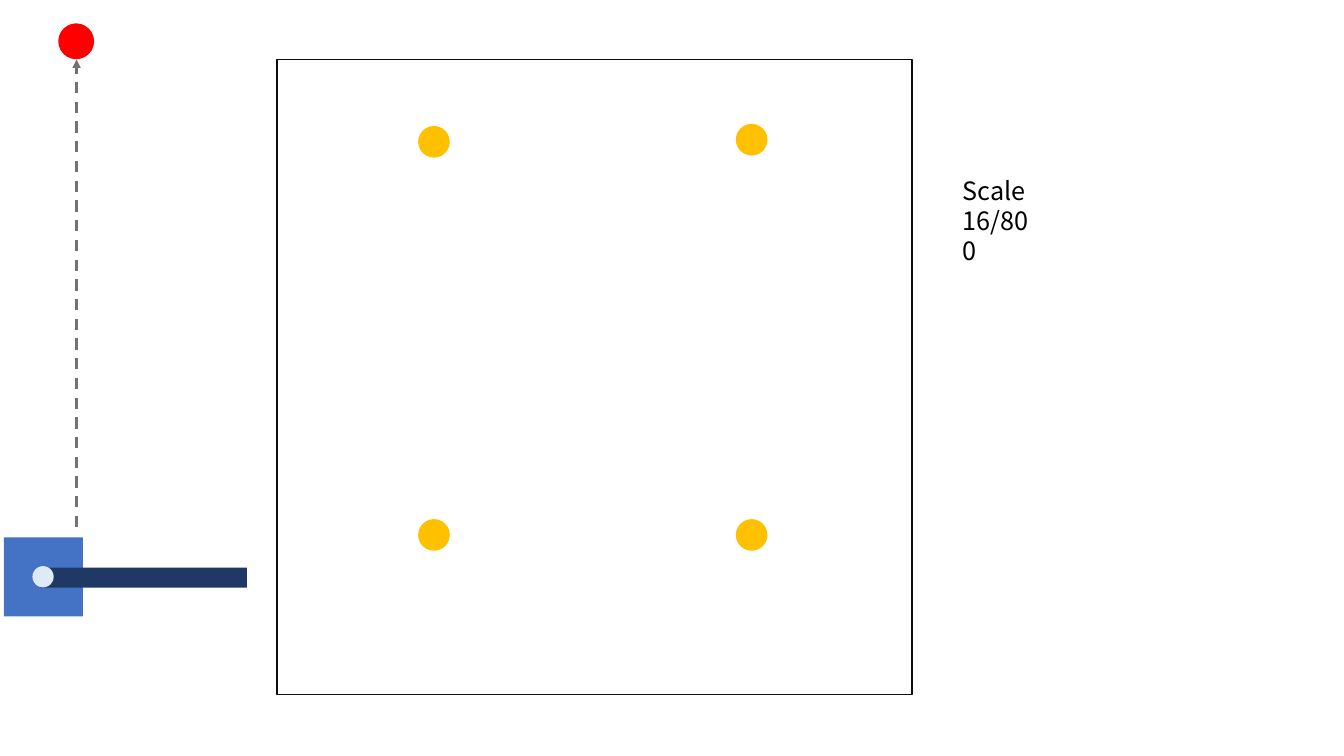
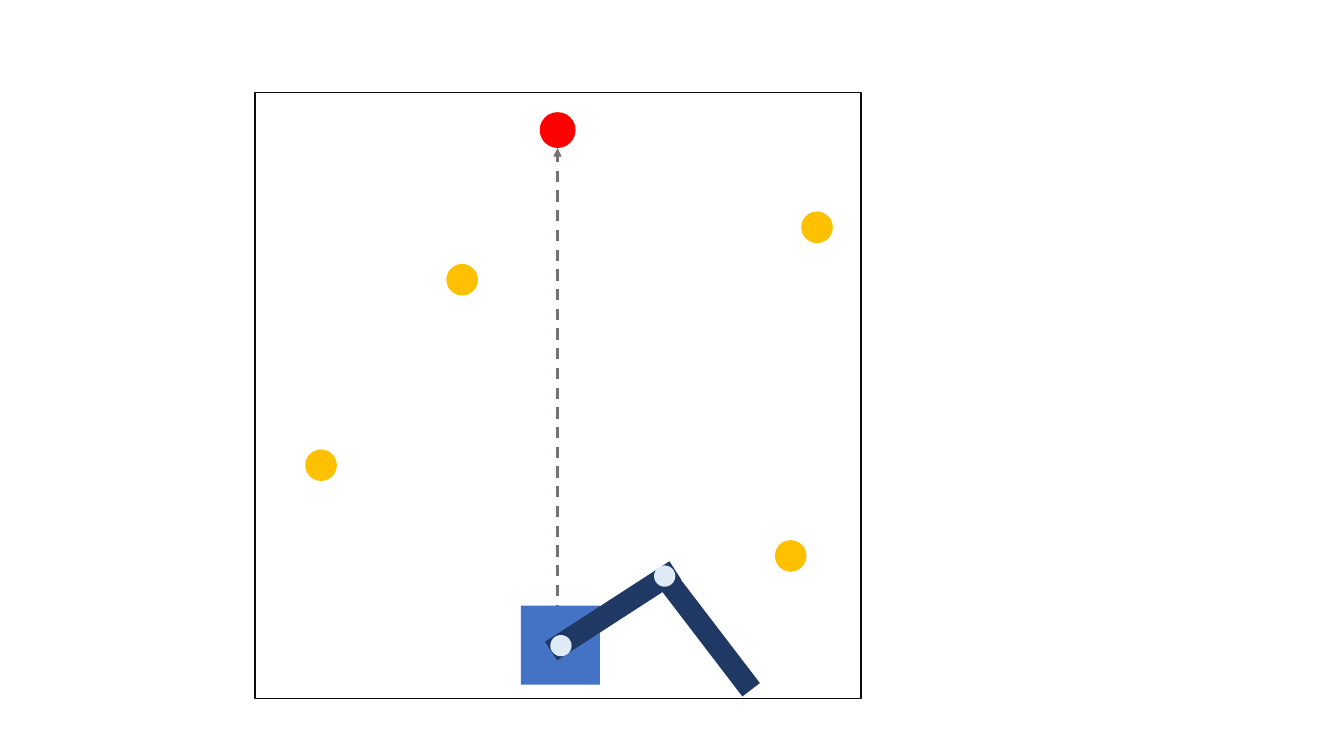
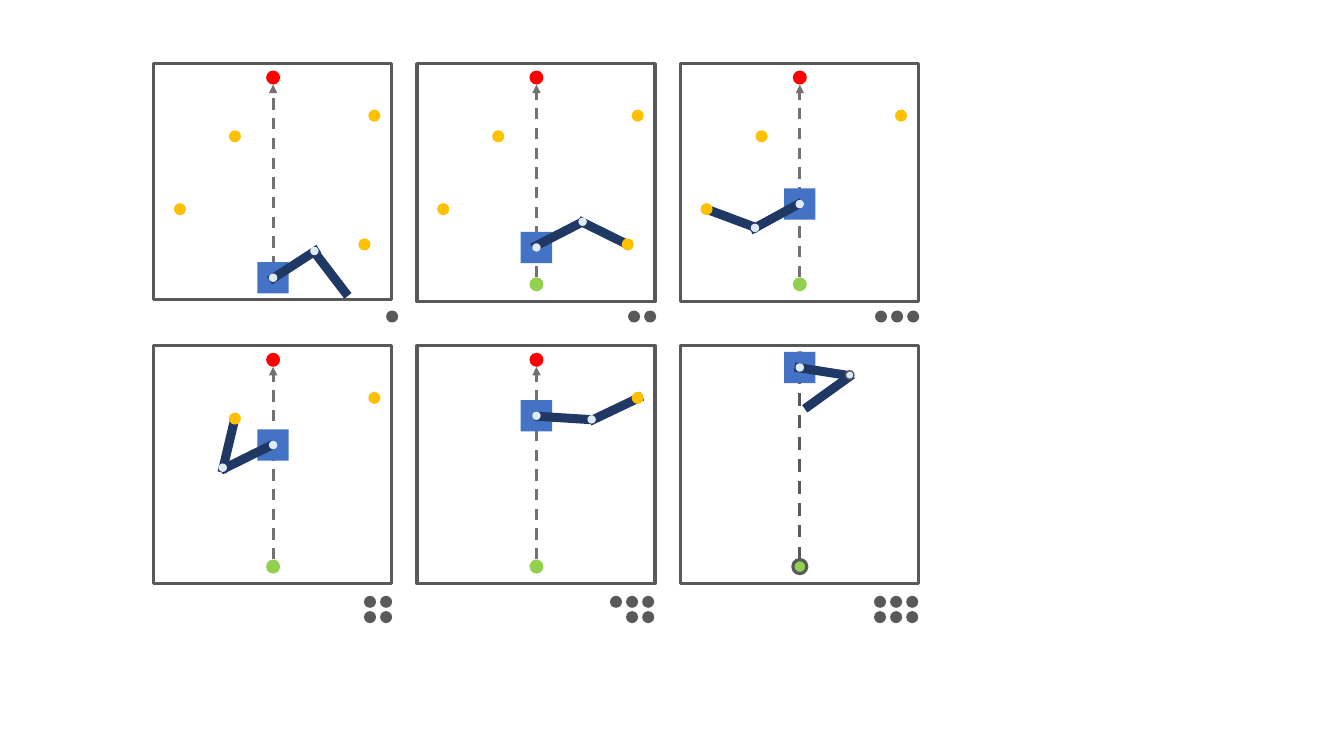
import dataclasses

import lxml.etree
import pptx
import pptx.dml.color
import pptx.enum.dml
import pptx.enum.shapes
import pptx.oxml.ns
import pptx.util

Pt = pptx.util.Pt
RGB = pptx.dml.color.RGBColor
RECTANGLE = pptx.enum.shapes.MSO_SHAPE.RECTANGLE
OVAL = pptx.enum.shapes.MSO_SHAPE.OVAL

BLACK = RGB(0x00, 0x00, 0x00)
INK = RGB(0x0D, 0x0D, 0x0D)
DARK_GREY = RGB(0x59, 0x59, 0x59)
GREY = RGB(0x76, 0x71, 0x71)
RED = RGB(0xFF, 0x00, 0x00)
GREEN = RGB(0x92, 0xD0, 0x50)
AMBER = RGB(0xFF, 0xC0, 0x00)
BLUE = RGB(0x44, 0x72, 0xC4)
NAVY = RGB(0x20, 0x38, 0x64)
PALE_BLUE = RGB(0xDE, 0xEB, 0xF7)
FONT = "Noto Sans CJK SC"


@dataclasses.dataclass
class Sizes:
    goal: float
    target: float
    base: float
    joint: float
    arm: tuple
    frame_line: tuple


LARGE = Sizes(25.6, 22.6, 56.5, 15.2, (105.8, 15.8), (INK, 1))
LONG_ARM = dataclasses.replace(LARGE, arm=(147.6, 14.4))
SMALL = Sizes(10, 8.6, 22.4, 6, (41.8, 6.5), (DARK_GREY, 2.25))

# Points are centres; arms are (centre x, centre y, angle); the route is (x, from y, to y).
SCALE_SCENE = dict(
    frame=(198, 42.5, 453.6, 453.6), route=(54.7, 376.6, 42.5), goal=(54.4, 29.5),
    base=(31, 412), arms=[(102.6, 412.6, 0)], joints=[(30.8, 412)],
    targets=[(310, 382.1), (536.9, 99.8), (536.9, 382.1), (310, 101.3)],
)
SCALE_LABEL = ["Scale", "16/800"]

ARENA_SCENE = dict(
    frame=(182.2, 66.2, 432.7, 432.7), route=(398.2, 439.9, 105.8), goal=(398.3, 92.9),
    base=(400.3, 460.8), arms=[(438.1, 436.3, 327.1), (504.4, 450.7, 52.6)],
    joints=[(400.7, 461.2), (474.8, 411.5)],
    targets=[(229.3, 332.3), (330.1, 199.8), (583.6, 162.4), (564.8, 397.1)],
)

# Storyboard positions are relative to the top left of each panel.
PANEL_LEFT, PANEL_TOP = 109.8, 45.4
COLUMN_PITCH, ROW_PITCH, PANEL_SIZE, COLUMNS = 188.1, 201.6, 170, 3
CENTRE_X, GOAL_Y, START_Y = 85.3, 10, 157.7
ROUTE_FROM, ROUTE_TO = 152.6, 15.1
PICK_ORDER = [(150.5, 129.2), (18.7, 104), (58, 52), (157.6, 37.2)]
DOT_SIZE, DOT_PITCH, DOT_ROW_PITCH = 8.6, 11.5, 10.9

STEPS = [
    dict(base_y=153, elbow=(114.8, 133.9), last_dot=170.3,
         arms=[(100.4, 143.6, 327.1), (126, 149.4, 52.6)]),
    dict(base_y=131.4, elbow=(118.3, 113), last_dot=166.5,
         arms=[(101, 122, 332.8), (134.1, 121.3, 26.3)]),
    dict(base_y=100.4, elbow=(53.3, 117.4), last_dot=166.3,
         arms=[(68.4, 109.1, 151.4), (36, 110.5, 20.5)]),
    dict(base_y=70.9, elbow=(49.3, 87.1), last_dot=166,
         arms=[(66.6, 79.6, 153.7), (53.6, 70.2, 103.4)]),
    dict(base_y=50, elbow=(124.7, 52.6), last_dot=165.1,
         arms=[(104.6, 51.5, 183.6), (142, 45, 154.5)]),
    dict(base_y=15.5, elbow=(121, 20.9), last_dot=165.6,
         arms=[(102.2, 18.4, 188.9), (105.8, 32.8, 324.2)]),
]


def add_centred(page, kind, centre, size, fill=None, line=None, angle=0):
    """Add a shape around its centre; line is (colour, width)."""
    (x, y), (width, height) = centre, size
    shape = page.shapes.add_shape(
        kind, Pt(x - width / 2), Pt(y - height / 2), Pt(width), Pt(height))
    shape.shadow.inherit = False
    shape.rotation = angle
    if fill is None:
        shape.fill.background()
    else:
        shape.fill.solid()
        shape.fill.fore_color.rgb = fill
    if line is None:
        shape.line.fill.background()
    else:
        shape.line.color.rgb = line[0]
        shape.line.width = Pt(line[1])


def add_disc(page, centre, diameter, fill, line=None):
    add_centred(page, OVAL, centre, (diameter, diameter), fill, line)


def add_route(page, x, from_y, to_y, colour, width):
    route = page.shapes.add_connector(
        pptx.enum.shapes.MSO_CONNECTOR.STRAIGHT, Pt(x), Pt(from_y), Pt(x), Pt(to_y))
    route.line.color.rgb = colour
    route.line.width = Pt(width)
    route.line.dash_style = pptx.enum.dml.MSO_LINE.DASH
    qn = pptx.oxml.ns.qn
    outline = route.line._get_or_add_ln()
    lxml.etree.SubElement(outline, qn("a:tailEnd"), type="triangle")
    lxml.etree.SubElement(route._element.spPr, qn("a:effectLst"))


def draw_scene(page, sizes, frame, route, goal, base, arms, joints, targets,
               start=None, route_line=(GREY, 2), mark_line=None, elbow_line=None):
    left, top, width, height = frame
    add_centred(page, RECTANGLE, (left + width / 2, top + height / 2),
                (width, height), line=sizes.frame_line)
    add_route(page, *route, *route_line)
    add_disc(page, goal, sizes.goal, RED, mark_line)
    if start:
        add_disc(page, start, sizes.goal, GREEN, mark_line)
    add_centred(page, RECTANGLE, base, (sizes.base, sizes.base), BLUE)
    for x, y, angle in arms:
        add_centred(page, RECTANGLE, (x, y), sizes.arm, NAVY, angle=angle)
    for joint, line in zip(joints, (None, elbow_line)):
        add_disc(page, joint, sizes.joint, PALE_BLUE, line)
    for target in targets:
        add_disc(page, target, sizes.target, AMBER)


def add_label(page, lines, left, top, width, height):
    box = page.shapes.add_textbox(Pt(left), Pt(top), Pt(width), Pt(height))
    box.text_frame.word_wrap = True
    box.text_frame.text = "\n".join(lines)
    for para in box.text_frame.paragraphs:
        para.line_spacing = Pt(21.5)
        para.font.size = Pt(18)
        para.font.name = FONT
        para.font.color.rgb = BLACK


def draw_step(page, number, step):
    """Draw one storyboard panel and the dots that count it."""
    row, column = divmod(number - 1, COLUMNS)
    left = PANEL_LEFT + column * COLUMN_PITCH
    top = PANEL_TOP + row * ROW_PITCH
    first, last = number == 1, number == len(STEPS)

    def place(x, y, *rest):
        return (left + x, top + y, *rest)

    base = place(CENTRE_X, step["base_y"])
    emphasis = {}
    if last:
        emphasis = dict(route_line=(DARK_GREY, 2.25), mark_line=(DARK_GREY, 2.25),
                        elbow_line=(DARK_GREY, 1))
    draw_scene(
        page, SMALL,
        frame=(left, top, PANEL_SIZE, PANEL_SIZE - 1.5 * first),
        route=(left + CENTRE_X, top + ROUTE_FROM - 7 * first, top + ROUTE_TO),
        goal=place(CENTRE_X, GOAL_Y),
        start=None if first else place(CENTRE_X, START_Y),
        base=base,
        arms=[place(*arm) for arm in step["arms"]],
        joints=[base, place(*step["elbow"])],
        targets=[place(*target) for target in PICK_ORDER[max(0, number - 2):]],
        **emphasis)

    dots_top = 182.9 if row else 180.7
    upper = (number + 1) // 2 if row else number
    for dot_row, count in enumerate((upper, number - upper)):
        for index in range(count):
            centre = place(step["last_dot"] - index * DOT_PITCH,
                           dots_top + dot_row * DOT_ROW_PITCH)
            add_disc(page, centre, DOT_SIZE, DARK_GREY)


def main():
    deck = pptx.Presentation()
    deck.slide_width, deck.slide_height = Pt(960), Pt(540)
    blank = deck.slide_layouts[6]

    page = deck.slides.add_slide(blank)
    draw_scene(page, LONG_ARM, **SCALE_SCENE)
    add_label(page, SCALE_LABEL, 680.4, 122, 69, 51)

    page = deck.slides.add_slide(blank)
    draw_scene(page, LARGE, **ARENA_SCENE)

    page = deck.slides.add_slide(blank)
    for number, step in enumerate(STEPS, 1):
        draw_step(page, number, step)

    deck.save("out.pptx")


if __name__ == "__main__":
    main()
